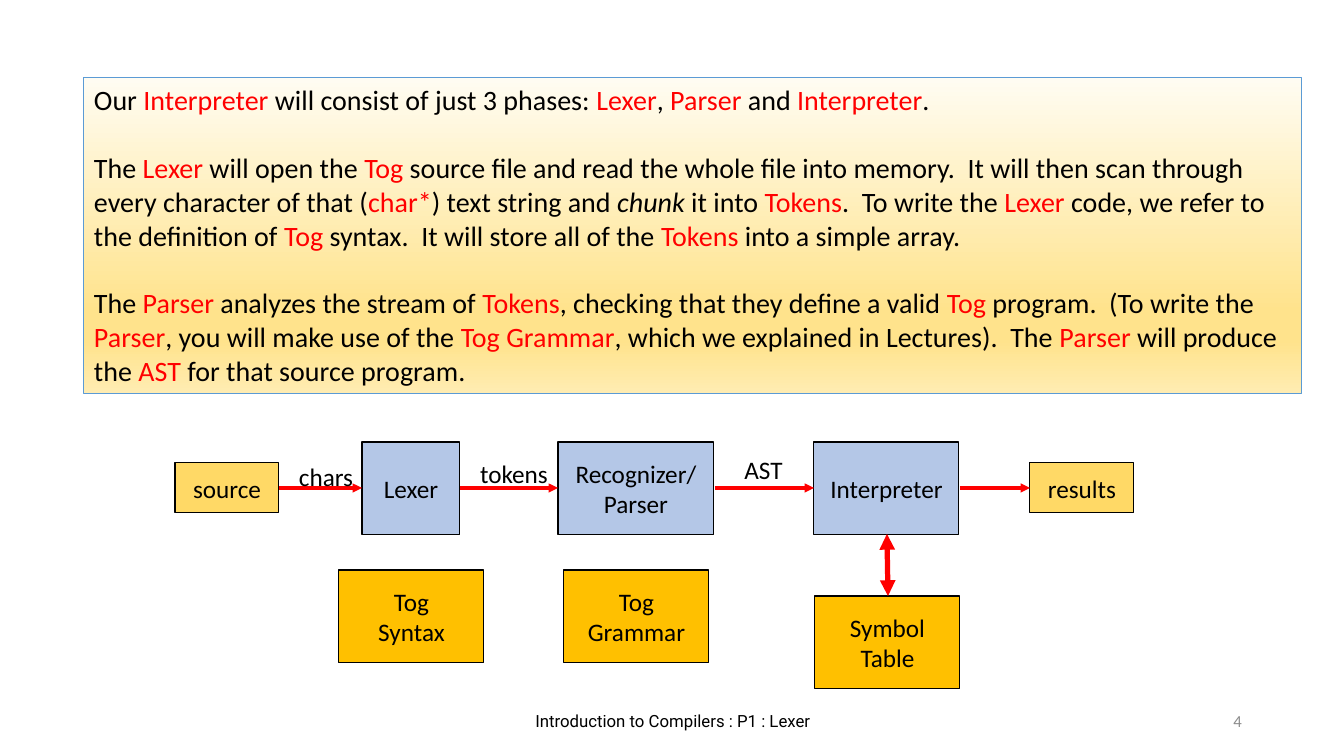
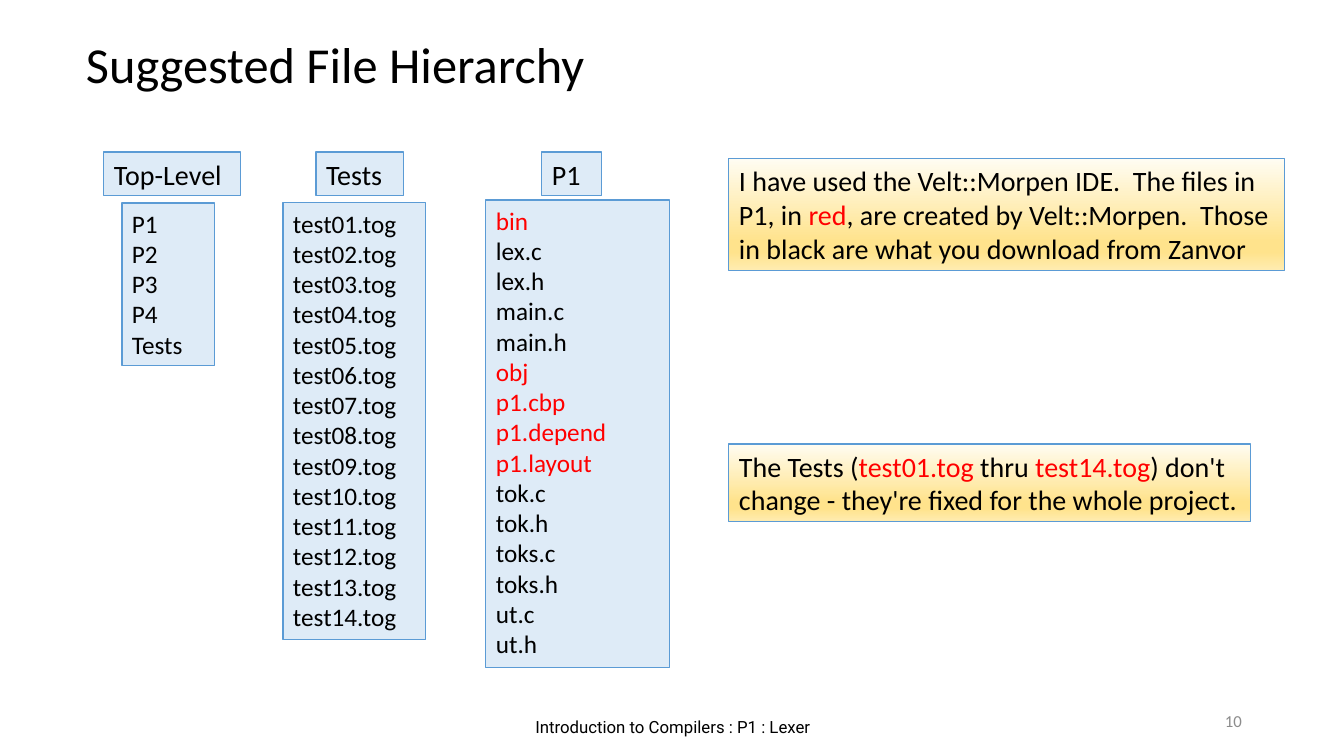
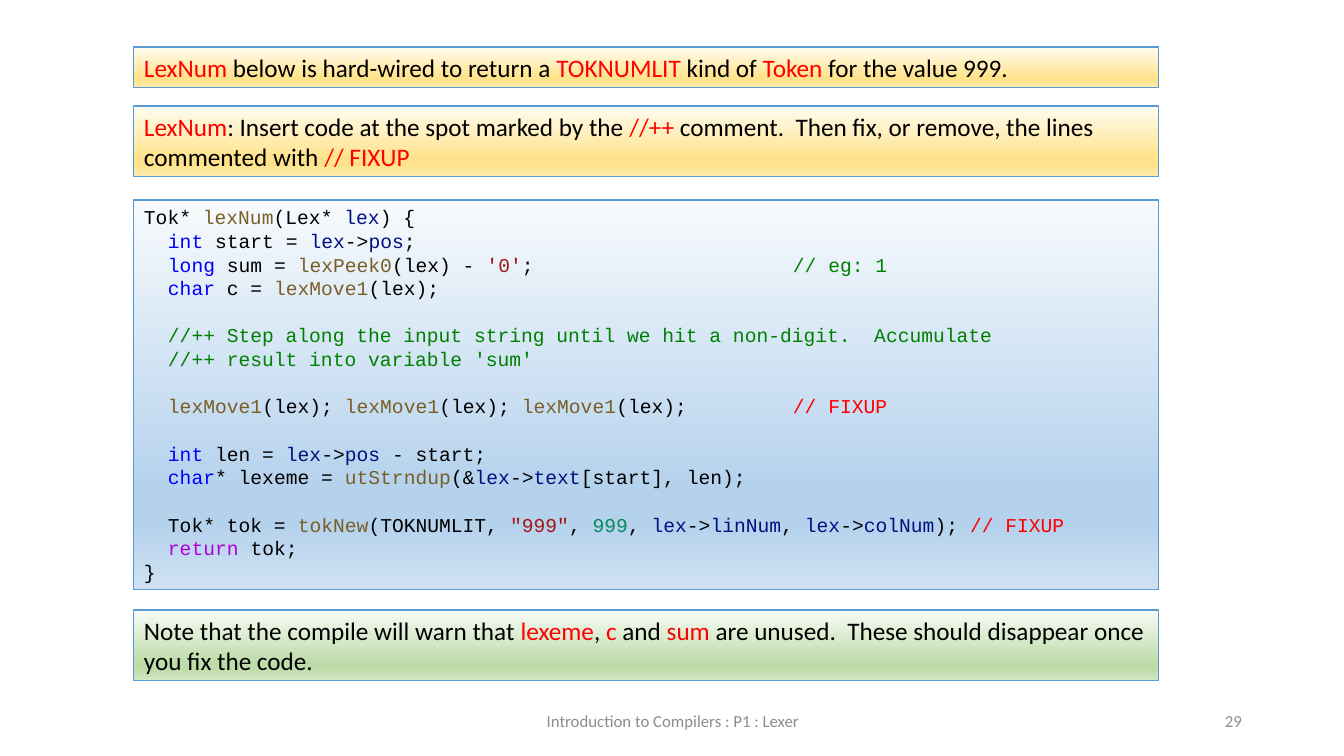
from lxml.etree import SubElement
from pptx import Presentation
from pptx.dml.color import RGBColor
from pptx.enum.shapes import MSO_CONNECTOR, MSO_SHAPE
from pptx.enum.text import MSO_ANCHOR, PP_ALIGN
from pptx.oxml.ns import qn
from pptx.util import Pt

EMU_PER_PX = 914400 / 100.8
BLACK, RED, GRAY, BLUE = "000000", "FF0000", "8C8C8C", "5B9BD5"
PALE, STEEL, GOLD, AMBER = "DEEBF7", "B4C7E7", "FFD966", "FFC000"
STOPS = (0, 74, 83, 100)
CREAM = ("FFFCF2", "FFE38C", "FFE38C", "FFECB2")
SKY = ("F7FAFD", "B5D2EC", "B5D2EC", "CEE1F2")
MINT = ("F8FBF6", "BEDCAA", "BEDCAA", "D4E8C6")
MARKS = {
    "r": {"color": RED},
    "i": {"italic": True},
    "f": {"color": "795E26"},
    "v": {"color": "001080"},
    "k": {"color": "0000FF"},
    "s": {"color": "A31515"},
    "c": {"color": "008000"},
    "n": {"color": "09885A"},
    "w": {"color": "AF00DB"},
}


def px(n):
    return round(n * EMU_PER_PX)


def rgb(value):
    return RGBColor.from_string(value)


def add_run(p, text, size=18, font="Calibri", color=BLACK, italic=False):
    r = p.add_run()
    r.text = text
    r.font.size = Pt(size)
    r.font.name = font
    r.font.italic = italic
    r.font.color.rgb = rgb(color)


def write(tf, lines, align=PP_ALIGN.LEFT, anchor=MSO_ANCHOR.TOP, pad=(10, 5),
          pitch=None, tabs=(), size=18, **fmt):
    """Mark runs as |key:text|; an empty line becomes space before the next."""
    tf.word_wrap = True
    tf.vertical_anchor = anchor
    tf.margin_left = tf.margin_right = px(pad[0])
    tf.margin_top = tf.margin_bottom = px(pad[1])
    p, gap = tf.paragraphs[0], False
    for i, line in enumerate(lines):
        if not line:
            gap = True
            continue
        if i:
            p = tf.add_paragraph()
        p.alignment = align
        if pitch:
            p.line_spacing = Pt(pitch)
        if gap:
            p.space_before = Pt(pitch or 1.22 * size)
            gap = False
        if tabs:
            tab_list = SubElement(p._p.get_or_add_pPr(), qn("a:tabLst"))
            for pos in tabs:
                SubElement(tab_list, qn("a:tab"), pos=str(px(pos)), algn="l")
        for n, part in enumerate(line.split("|")):
            if n % 2:
                key, _, text = part.partition(":")
                add_run(p, text, **{"size": size, **fmt, **MARKS[key]})
            elif part:
                add_run(p, part, size=size, **fmt)


class Deck:
    centered = {"align": PP_ALIGN.CENTER, "anchor": MSO_ANCHOR.MIDDLE}

    def __init__(self):
        self.prs = Presentation()
        self.prs.slide_width, self.prs.slide_height = px(1344), px(756)

    def slide(self, number, title=None, footer_top=701, **footer):
        layout = self.prs.slide_layouts[5 if title else 6]
        self.s = self.prs.slides.add_slide(layout)
        if title:
            sp = self.s.shapes.title
            sp.left, sp.top, sp.width, sp.height = map(px, (76, 28, 610, 72))
            write(sp.text_frame, [title], size=36)
        self.text(446, footer_top, 454, 40, ["Introduction to Compilers : P1 : Lexer"],
                  size=12, **self.centered, **footer)
        self.text(950, 701, 302, 40, [str(number)], size=12, color=GRAY,
                  align=PP_ALIGN.RIGHT, anchor=MSO_ANCHOR.MIDDLE)

    def text(self, x, y, w, h, lines, **fmt):
        sp = self.s.shapes.add_textbox(*map(px, (x, y, w, h)))
        write(sp.text_frame, lines, **fmt)

    def box(self, x, y, w, h, lines, fill=PALE, line=BLUE, **fmt):
        sp = self.s.shapes.add_shape(MSO_SHAPE.RECTANGLE, *map(px, (x, y, w, h)))
        sp.shadow.inherit = False
        sp.line.color.rgb = rgb(line)
        sp.line.width = Pt(0.75)
        if isinstance(fill, str):
            sp.fill.solid()
            sp.fill.fore_color.rgb = rgb(fill)
        else:
            self.gradient(sp, fill)
        write(sp.text_frame, lines, **fmt)

    def gradient(self, sp, colors):
        sp.fill.gradient()
        sp.fill.gradient_angle = 270
        stops = sp._element.spPr.find(qn("a:gradFill")).find(qn("a:gsLst"))
        for stop in list(stops):
            stops.remove(stop)
        for pos, color in zip(STOPS, colors):
            stop = SubElement(stops, qn("a:gs"), pos=str(pos * 1000))
            SubElement(stop, qn("a:srgbClr"), val=color)

    def node(self, x, y, w, h, lines, fill):
        self.box(x, y, w, h, lines, fill, BLACK, pad=(13, 7), **self.centered)

    def label(self, x, y, w, h, text):
        self.text(x, y, w, h, [text], pad=(13, 7), **self.centered)

    def arrow(self, x1, y1, x2, y2, width=2.25, ends=("tailEnd",)):
        c = self.s.shapes.add_connector(MSO_CONNECTOR.STRAIGHT, *map(px, (x1, y1, x2, y2)))
        c.line.color.rgb = rgb(RED)
        c.line.width = Pt(width)
        ln = c.line._get_or_add_ln()
        for end in ends:
            SubElement(ln, qn("a:" + end), type="triangle")
        SubElement(c._element.spPr, qn("a:effectLst"))


deck = Deck()

deck.slide(4, font="Roboto")
deck.box(84, 78, 1218, 316, [
    "Our |r:Interpreter| will consist of just 3 phases: |r:Lexer|, |r:Parser| and "
    "|r:Interpreter|.",
    "",
    "The |r:Lexer| will open the |r:Tog| source file and read the whole file into memory.  "
    "It will then scan through every character of that (|r:char*|) text string and "
    "|i:chunk| it into |r:Tokens|.  To write the |r:Lexer| code, we refer to the definition "
    "of |r:Tog| syntax.  It will store all of the |r:Tokens| into a simple array.",
    "",
    "The |r:Parser| analyzes the stream of |r:Tokens|, checking that they define a valid "
    "|r:Tog| program.  (To write the |r:Parser|, you will make use of the |r:Tog Grammar|, "
    "which we explained in Lectures).  The |r:Parser| will produce the |r:AST| for that "
    "source program.",
], CREAM, size=20)
for x, w, name in ((362, 98, "Lexer"), (558, 156, "Recognizer/Parser"),
                   (814, 145, "Interpreter")):
    deck.node(x, 442, w, 93, [name], STEEL)
for x, name in ((175, "source"), (1030, "results")):
    deck.node(x, 463, 104, 50, [name], GOLD)
for x, y, lines in ((339, 570, ["Tog", "Syntax"]), (564, 570, ["Tog", "Grammar"]),
                    (815, 596, ["Symbol Table"])):
    deck.node(x, y, 145, 93, lines, AMBER)
for x1, x2 in ((279, 362), (460, 558), (715, 814), (960, 1030)):
    deck.arrow(x1, 488, x2, 488)
deck.arrow(887, 534, 888, 596, 3.75, ("headEnd", "tailEnd"))
deck.label(281, 452, 90, 49, "chars")
deck.label(462, 449, 104, 49, "tokens")
deck.label(722, 449, 83, 40, "AST")

deck.slide(10, "Suggested File Hierarchy", 707, font="Roboto")
for x, w, name in ((104, 137, "Top-Level"), (316, 88, "Tests"), (542, 60, "P1")):
    deck.box(x, 152, w, 44, [name], size=20)
deck.box(122, 203, 93, 163, ["P1", "P2", "P3", "P4", "Tests"])
deck.box(283, 203, 143, 437, [f"test{n:02}.tog" for n in range(1, 15)])
deck.box(486, 200, 184, 468, [
    "|r:bin|", "lex.c", "lex.h", "main.c", "main.h", "|r:obj|", "|r:p1.cbp|",
    "|r:p1.depend|", "|r:p1.layout|", "tok.c", "tok.h", "toks.c", "toks.h", "ut.c", "ut.h",
])
deck.box(729, 159, 556, 112, [
    "I have used the Velt::Morpen IDE.  The files in P1, in |r:red|, are created by "
    "Velt::Morpen.  Those in black are what you download from Zanvor",
], CREAM, size=20)
deck.box(729, 444, 522, 78, [
    "The Tests (|r:test01.tog| thru |r:test14.tog|) don't change - they're fixed for the "
    "whole project.",
], CREAM, size=20)

deck.slide(29, color=GRAY)
deck.box(134, 200, 1025, 390, [
    "Tok* |f:lexNum|(Lex* |v:lex|) {",
    "\t|k:int| start = |v:lex|->|v:pos|;",
    "\t|k:long| sum = |f:lexPeek0|(lex) - |s:'0'|;\t|c:// eg: 1|",
    "\t|k:char| c = |f:lexMove1|(lex);",
    "",
    "\t|c://++ Step along the input string until we hit a non-digit.  Accumulate|",
    "\t|c://++ result into variable 'sum'|",
    "",
    "\t|f:lexMove1|(lex); |f:lexMove1|(lex); |f:lexMove1|(lex);\t|r:// FIXUP|",
    "",
    "\t|k:int| len = |v:lex|->|v:pos| - start;",
    "\t|k:char|* lexeme = |f:utStrndup|(&|v:lex|->|v:text|[start], len);",
    "",
    "\tTok* tok = |f:tokNew|(TOKNUMLIT, |s:\"999\"|, |n:999|, |v:lex|->|v:linNum|, "
    "|v:lex|->|v:colNum|); |r:// FIXUP|",
    "\t|w:return| tok;",
    "}",
], SKY, size=14, font="Courier New", pitch=16.9, tabs=(24, 649))
for y, h, note, fill in (
    (47, 41, "|r:LexNum| below is hard-wired to return a |r:TOKNUMLIT| kind of |r:Token| "
     "for the value 999.", CREAM),
    (106, 71, "|r:LexNum|: Insert code at the spot marked by the |r://++| comment.  Then "
     "fix, or remove, the lines commented with |r:// FIXUP|", CREAM),
    (610, 71, "Note that the compile will warn that |r:lexeme|, |r:c| and |r:sum| are "
     "unused.  These should disappear once you fix the code.", MINT),
):
    deck.box(134, y, 1025, h, [note], fill)

deck.prs.save("out.pptx")
